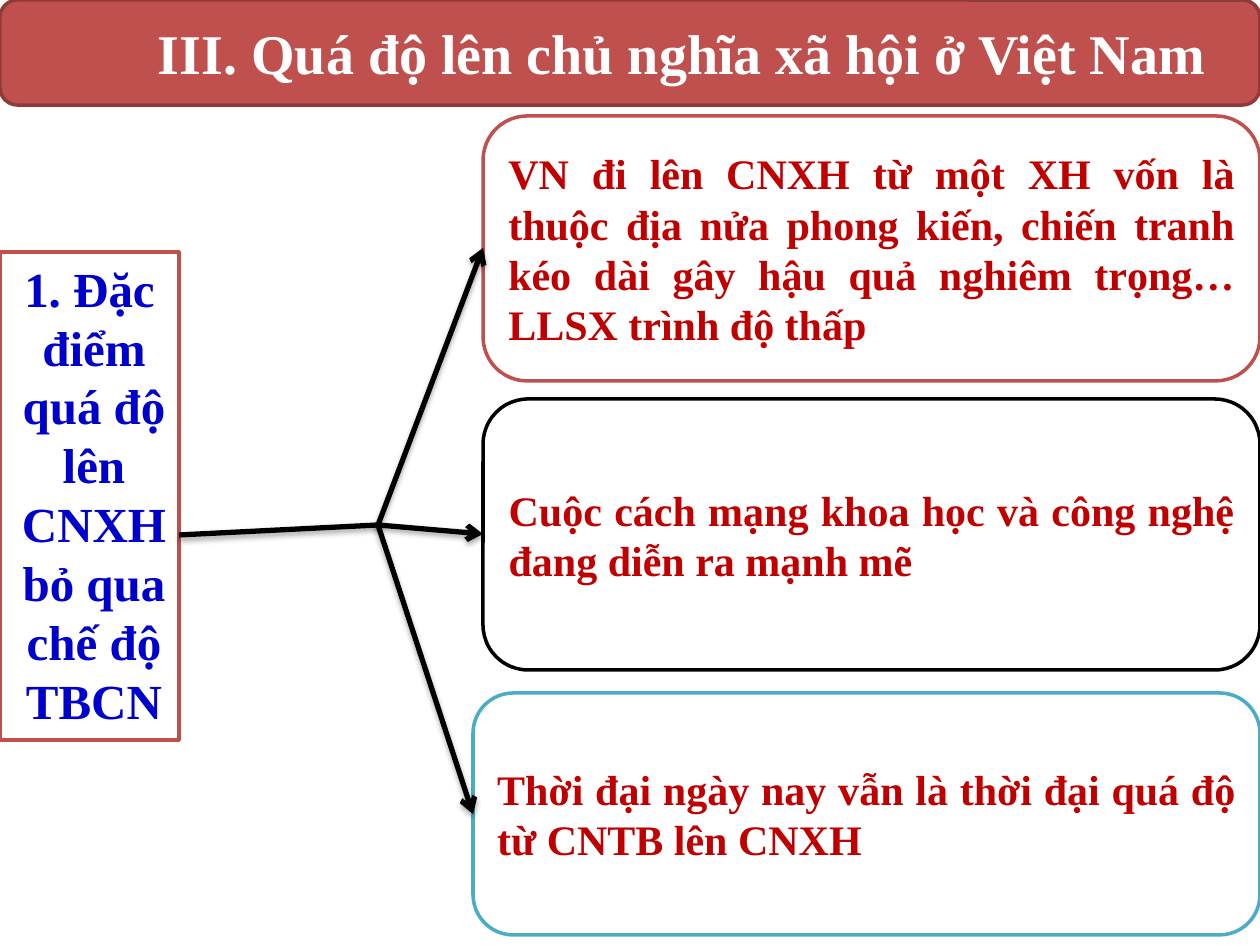
from dataclasses import dataclass

from lxml import etree
from pptx import Presentation
from pptx.dml.color import RGBColor
from pptx.enum.shapes import MSO_CONNECTOR, MSO_SHAPE
from pptx.enum.text import MSO_ANCHOR, MSO_AUTO_SIZE, PP_ALIGN
from pptx.oxml import parse_xml
from pptx.oxml.ns import nsdecls, qn
from pptx.util import Pt

RECT, ROUND = MSO_SHAPE.RECTANGLE, MSO_SHAPE.ROUNDED_RECTANGLE
STRAIGHT = MSO_CONNECTOR.STRAIGHT
TOP, MIDDLE = MSO_ANCHOR.TOP, MSO_ANCHOR.MIDDLE
LEFT, CENTER, JUSTIFY = PP_ALIGN.LEFT, PP_ALIGN.CENTER, PP_ALIGN.JUSTIFY
FIXED = MSO_AUTO_SIZE.NONE
SCALE = 914400 / 126


@dataclass(frozen=True)
class Theme:
    font: str = "Times New Roman"
    white: str = "FFFFFF"
    black: str = "000000"
    red: str = "C0504D"
    edge: str = "8E3B39"
    teal: str = "4BACC6"
    blue: str = "0000CC"
    ink: str = "C00000"
    head: int = 32
    side: int = 28
    body: int = 24
    border: int = 2
    arrow: int = 3


THEME = Theme()

TITLE = "III. Quá độ lên chủ nghĩa xã hội ở Việt Nam"
TOPIC = "1. Đặc điểm quá độ lên CNXH bỏ qua chế độ TBCN"
HUB = (378, 525)
CARDS = [
    ((483, 116, 777, 265), THEME.red,
     "VN đi lên CNXH từ một XH vốn là thuộc địa nửa phong kiến, "
     "chiến tranh kéo dài gây hậu quả nghiêm trọng… LLSX trình độ thấp"),
    ((483, 399, 777, 271), THEME.black,
     "Cuộc cách mạng khoa học và công nghệ đang diễn ra mạnh mẽ"),
    ((473, 693, 787, 242), THEME.teal,
     "Thời đại ngày nay vẫn là thời đại quá độ từ CNTB lên CNXH"),
]


def px(*sizes):
    return [round(size * SCALE) for size in sizes]


def color(code):
    return RGBColor.from_string(code)


def add_box(slide, kind, area, fill, edge):
    box = slide.shapes.add_shape(kind, *px(*area))
    box.shadow.inherit = False
    box.fill.solid()
    box.fill.fore_color.rgb = color(fill)
    box.line.color.rgb = color(edge)
    box.line.width = Pt(THEME.border)
    return box


def set_text(shape, text, size, ink, align, anchor=MIDDLE):
    frame = shape.text_frame
    frame.text = text
    frame.word_wrap = True
    frame.auto_size = FIXED
    frame.vertical_anchor = anchor
    para = frame.paragraphs[0]
    para.alignment = align
    para.font.name = THEME.font
    para.font.size = Pt(size)
    para.font.bold = True
    para.font.color.rgb = color(ink)
    return para


def add_title(slide):
    add_box(slide, ROUND, (0, 0, 1260, 105), THEME.red, THEME.edge)
    title = slide.shapes.title
    title.left, title.top, title.width, title.height = px(158, 0, 1092, 105)
    set_text(title, TITLE, THEME.head, THEME.white, LEFT)
    title.text_frame.margin_left = title.text_frame.margin_right = 0
    slide.shapes._spTree.append(title._element)


def add_topic(slide):
    box = add_box(slide, RECT, (0, 252, 179, 488), THEME.white, THEME.red)
    para = set_text(box, TOPIC, THEME.side, THEME.blue, CENTER, TOP)
    props = para._p.get_or_add_pPr()
    hang, = px(9)
    props.set("marL", str(hang))
    props.set("indent", str(-hang))


def add_line(slide, start, end, arrow=True):
    line = slide.shapes.add_connector(STRAIGHT, *px(*start, *end))
    line.line.color.rgb = color(THEME.black)
    line.line.width = Pt(THEME.arrow)
    if arrow:
        etree.SubElement(line.line._get_or_add_ln(), qn("a:tailEnd"), type="arrow")
    line._element.spPr.append(parse_xml(
        f'<a:effectLst {nsdecls("a")}>'
        '<a:outerShdw blurRad="40000" dist="23000" dir="5400000" rotWithShape="0">'
        f'<a:srgbClr val="{THEME.black}"><a:alpha val="35000"/></a:srgbClr>'
        '</a:outerShdw></a:effectLst>'))


def main():
    deck = Presentation()
    deck.slide_width, deck.slide_height = px(1260, 945)
    slide = deck.slides.add_slide(deck.slide_layouts[5])
    add_topic(slide)
    for area, edge, text in CARDS:
        card = add_box(slide, ROUND, area, THEME.white, edge)
        set_text(card, text, THEME.body, THEME.ink, JUSTIFY)
    add_title(slide)
    add_line(slide, (179, 535), HUB, arrow=False)
    for (left, top, _, height), _, _ in CARDS:
        add_line(slide, HUB, (left, top + height // 2))
    deck.save("out.pptx")


if __name__ == "__main__":
    main()
